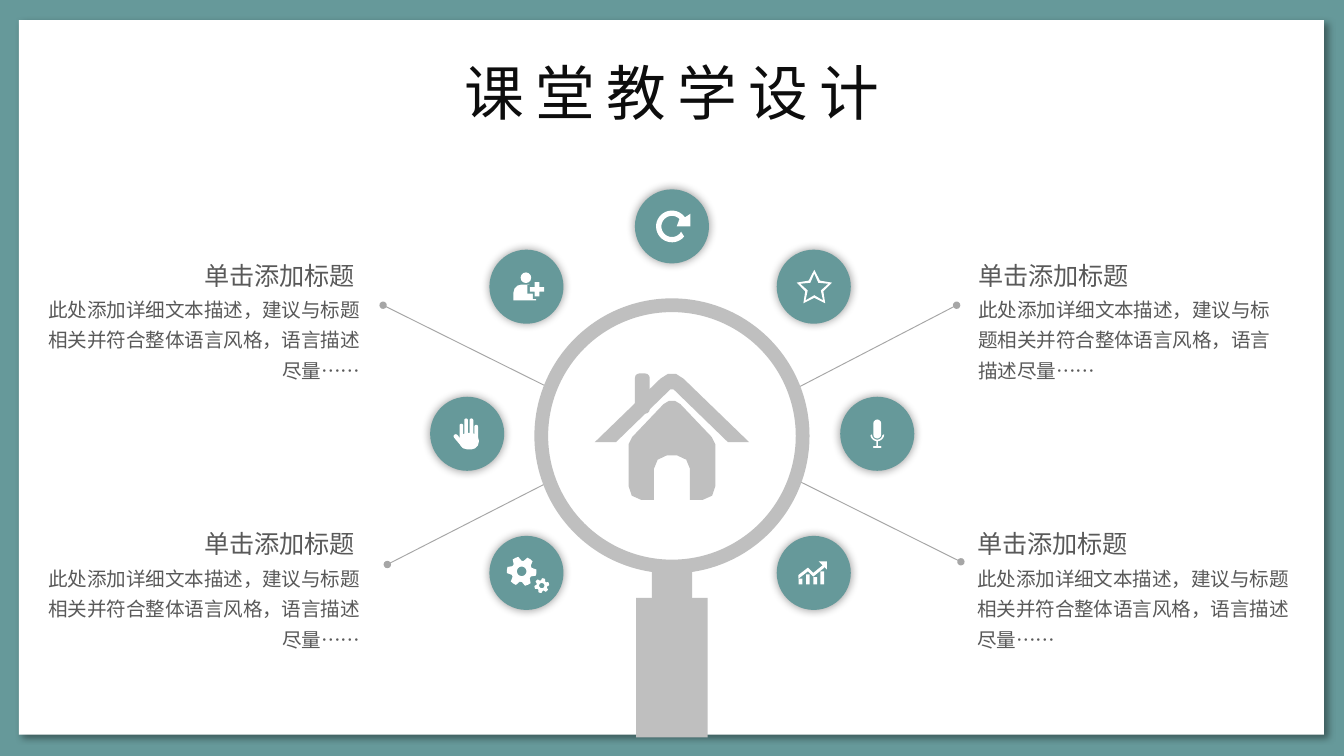
"""Builds the lesson design slide: a magnifier with a house, seven icon discs and four captions."""
from math import cos, radians, sin
from lxml.etree import SubElement
from pptx import Presentation
from pptx.dml.color import RGBColor
from pptx.enum.shapes import MSO_CONNECTOR, MSO_SHAPE
from pptx.enum.text import MSO_ANCHOR, MSO_AUTO_SIZE, PP_ALIGN
from pptx.oxml.ns import qn
from pptx.util import Cm, Pt

TEAL, GREY, WHITE = "66999A", "BFBFBF", "FFFFFF"
FONT = "Noto Sans CJK SC"
RECT, PILL, OVAL = MSO_SHAPE.RECTANGLE, MSO_SHAPE.ROUNDED_RECTANGLE, MSO_SHAPE.OVAL
DOME, CROSS, DONUT = MSO_SHAPE.ROUND_2_SAME_RECTANGLE, MSO_SHAPE.CROSS, MSO_SHAPE.DONUT


def paint(sp, color, blur=0, dist=0, angle=0):
    sp.fill.solid()
    sp.fill.fore_color.rgb = RGBColor.from_string(color)
    sp.line.fill.background()
    sp.shadow.inherit = False
    if blur:
        effects = sp._element.spPr.find(qn("a:effectLst"))
        shadow = SubElement(effects, qn("a:outerShdw"), blurRad=str(Pt(blur)), dist=str(Pt(dist)),
                            dir=str(angle * 60000), algn="ctr", rotWithShape="0")
        black = SubElement(shadow, qn("a:srgbClr"), val="000000")
        SubElement(black, qn("a:alpha"), val="40000")


def polar(x, y, radii, start, sweep, steps):
    points = []
    for i in range(steps):
        radius, angle = radii[i % len(radii)], radians(start + sweep * i / steps)
        points.append((x + radius * cos(angle), y + radius * sin(angle)))
    return points


prs = Presentation()
prs.slide_width, prs.slide_height = Cm(25.4), Cm(14.29)
s = prs.slides.add_slide(prs.slide_layouts[5])
s.background.fill.solid()
s.background.fill.fore_color.rgb = RGBColor.from_string(TEAL)

card = s.shapes.add_shape(RECT, Cm(0.36), Cm(0.38), Cm(24.66), Cm(13.51))
paint(card, WHITE, 4, 3, 45)

pointers = [
    (10.36, 7.32, 7.24, 5.77),
    (15.09, 9.09, 18.16, 10.62),
    (15.09, 7.32, 18.08, 5.77),
    (10.41, 9.09, 7.32, 10.67),
]
for ends in pointers:
    line = s.shapes.add_connector(MSO_CONNECTOR.STRAIGHT, *[Cm(v) for v in ends])
    line.line.width = Pt(0.5)
    line.line.color.rgb = RGBColor.from_string("A6A6A6")
    SubElement(line.line._get_or_add_ln(), qn("a:tailEnd"), type="oval", w="sm", len="sm")
    SubElement(line._element.spPr, qn("a:effectLst"))

centres = {
    "refresh": (12.7, 4.28), "star": (15.38, 5.42), "person": (9.95, 5.42), "hand": (8.83, 8.2),
    "growth": (15.38, 10.83), "gears": (9.95, 10.83), "mic": (16.58, 8.2),
}
radius = 0.7
for x, y in centres.values():
    disc = s.shapes.add_shape(OVAL, Cm(x - radius), Cm(y - radius), Cm(2 * radius), Cm(2 * radius))
    paint(disc, TEAL, 5)
centres["lens"] = (12.7, 8.24)

presets = [
    ("person", OVAL, -0.01, -0.17, 0.2, 0.2, None, 0, WHITE),
    ("person", DOME, -0.03, 0.11, 0.43, 0.3, 0.5, 0, WHITE),
    ("person", CROSS, 0.2, 0.05, 0.36, 0.36, 0.28, 0, TEAL),
    ("person", CROSS, 0.2, 0.05, 0.27, 0.27, 0.34, 0, WHITE),
    ("hand", PILL, 0.04, 0.14, 0.36, 0.31, 0.45, 0, WHITE),
    ("hand", PILL, -0.14, 0.14, 0.08, 0.32, 0.5, -40, WHITE),
    ("mic", PILL, 0, -0.09, 0.15, 0.36, 0.5, 0, WHITE),
    ("mic", RECT, 0, 0.19, 0.03, 0.11, None, 0, WHITE),
    ("mic", PILL, 0, 0.25, 0.16, 0.03, 0.5, 0, WHITE),
    ("lens", DONUT, 0, 0, 5.2, 5.2, 0.05, 0, GREY),
    ("lens", RECT, 0, 2.9, 0.76, 0.79, None, 0, GREY),
    ("lens", RECT, 0, 4.38, 1.35, 2.64, None, 0, GREY),
    ("lens", PILL, -0.56, -0.8, 0.28, 0.76, 0.3, 0, GREY),
]
finger_bottom, bar_bottom, bar_width = 0.15, 0.22, 0.07
for x, tip in [(-0.11, -0.19), (-0.02, -0.29), (0.08, -0.29), (0.17, -0.17)]:
    middle, length = (tip + finger_bottom) / 2, finger_bottom - tip
    presets.append(("hand", PILL, x, middle, 0.07, length, 0.5, 0, WHITE))
for x, tip in [(-0.25, 0.11), (-0.11, 0.03), (0.03, 0.08), (0.16, -0.03)]:
    middle, height = (tip + bar_bottom) / 2, bar_bottom - tip
    presets.append(("growth", RECT, x, middle, bar_width, height, None, 0, WHITE))
for icon, kind, dx, dy, width, height, adjust, turn, color in presets:
    x, y = centres[icon]
    sp = s.shapes.add_shape(kind, Cm(x + dx - width / 2), Cm(y + dy - height / 2),
                            Cm(width), Cm(height))
    sp.rotation = turn
    if adjust is not None:
        sp.adjustments[0] = adjust
    paint(sp, color)

arrow_head = [(0.09, 0), (0.35, 0), (0.35, -0.24)]
refresh = polar(0, 0, [0.3], -35, -295, 30) + polar(0, 0, [0.2], 30, 295, 30) + arrow_head
star_edge = polar(0.01, 0.03, [0.35, 0.18], -90, 360, 10)
star_hole = polar(0.01, 0.03, [0.28, 0.13], -90, 360, 10)
cradle = polar(0, 0.01, [0.13], 0, 180, 20) + polar(0, 0.01, [0.1], 180, -180, 20)
trend = [(-0.29, 0.04), (-0.11, -0.1), (-0.01, 0), (0.2, -0.17)]
trend_band = trend + [(x, y + 0.07) for x, y in reversed(trend)]
trend_head = [(0.09, -0.22), (0.25, -0.22), (0.25, -0.06)]

outlines = [
    ("refresh", [refresh]),
    ("star", [star_edge, star_hole]),
    ("mic", [cradle]),
    ("growth", [trend_band]),
    ("growth", [trend_head]),
]
for x, y, root, tip, hole, start in [(-0.09, -0.03, 0.2, 0.28, 0.09, -19),
                                     (0.29, 0.24, 0.1, 0.14, 0.05, -39)]:
    teeth = polar(x, y, [root, tip, tip, tip, root], start, 360, 30)
    outlines.append(("gears", [teeth, polar(x, y, [hole], 0, 360, 24)]))

door, wall, floor = 0.34, 0.82, 1.21
right_body = [(0.06, -0.66), (0.16, -0.6), (0.75, 0.02), (wall, 0.16), (wall, 0.95),
              (0.76, 1.13), (0.58, floor), (door, floor), (door, 0.62), (0.27, 0.45), (0.1, 0.37)]
right_roof = [(0.08, -1.17), (0.22, -1.08), (1.46, 0.12), (1.06, 0.12), (0.03, -0.88)]
for right_half in (right_body, right_roof):
    left_half = [(-x, y) for x, y in reversed(right_half)]
    outlines.append(("lens", [right_half + left_half]))

for icon, contours in outlines:
    fb = None
    for contour in contours:
        points = [(x * 1000, y * 1000) for x, y in contour]
        if fb is None:
            fb = s.shapes.build_freeform(*points[0], scale=Cm(1) / 1000)
        else:
            fb.move_to(*points[0])
        fb.add_line_segments(points[1:], close=True)
    x, y = centres[icon]
    paint(fb.convert_to_shape(Cm(x), Cm(y)), GREY if icon == "lens" else WHITE)

heading = "单击添加标题"
detail = "此处添加详细文本描述，建议与标题相关并符合整体语言风格，语言描述尽量……"
captions = [
    (18.24, 18.24, 4.62, 6.35, PP_ALIGN.LEFT),
    (3.56, 0.56, 4.62, 6.5, PP_ALIGN.RIGHT),
    (3.56, 0.56, 9.7, 6.5, PP_ALIGN.RIGHT),
    (18.22, 18.22, 9.7, 6.63, PP_ALIGN.LEFT),
]
texts = []
for heading_left, detail_left, top, width, align in captions:
    tb = s.shapes.add_textbox(Cm(heading_left), Cm(top), Cm(3.4), Cm(0.94))
    tb.text_frame.word_wrap = False
    texts.append((tb.text_frame, heading, 13.5, 21, "595959", align))
    tb = s.shapes.add_textbox(Cm(detail_left), Cm(top + 0.75), Cm(width), Cm(2.01))
    tb.text_frame.word_wrap = True
    texts.append((tb.text_frame, detail, 10.5, 16.35, "595959", align))

title = s.shapes.title
title.left, title.top, title.width, title.height = Cm(6.78), Cm(0.94), Cm(11.84), Cm(1.6)
s.shapes._spTree.append(title._element)
tf = title.text_frame
tf.margin_left = tf.margin_right = Cm(0.23)
tf.margin_top = tf.margin_bottom = Cm(0.1)
texts.append((tf, "课堂教学设计", 32, 39, "0D0D0D", PP_ALIGN.CENTER))

for tf, text, size, leading, color, align in texts:
    tf.text = text
    tf.auto_size = MSO_AUTO_SIZE.NONE
    tf.vertical_anchor = MSO_ANCHOR.TOP
    p = tf.paragraphs[0]
    p.alignment = align
    p.line_spacing = Pt(leading)
    p.space_before = Pt(0)
    r = p.runs[0]
    r.font.size = Pt(size)
    r.font.color.rgb = RGBColor.from_string(color)
    r.font.name = FONT
    SubElement(r.font._element, qn("a:ea"), typeface=FONT)
title.text_frame.paragraphs[0].runs[0].font._element.set("spc", "600")

prs.save("out.pptx")
